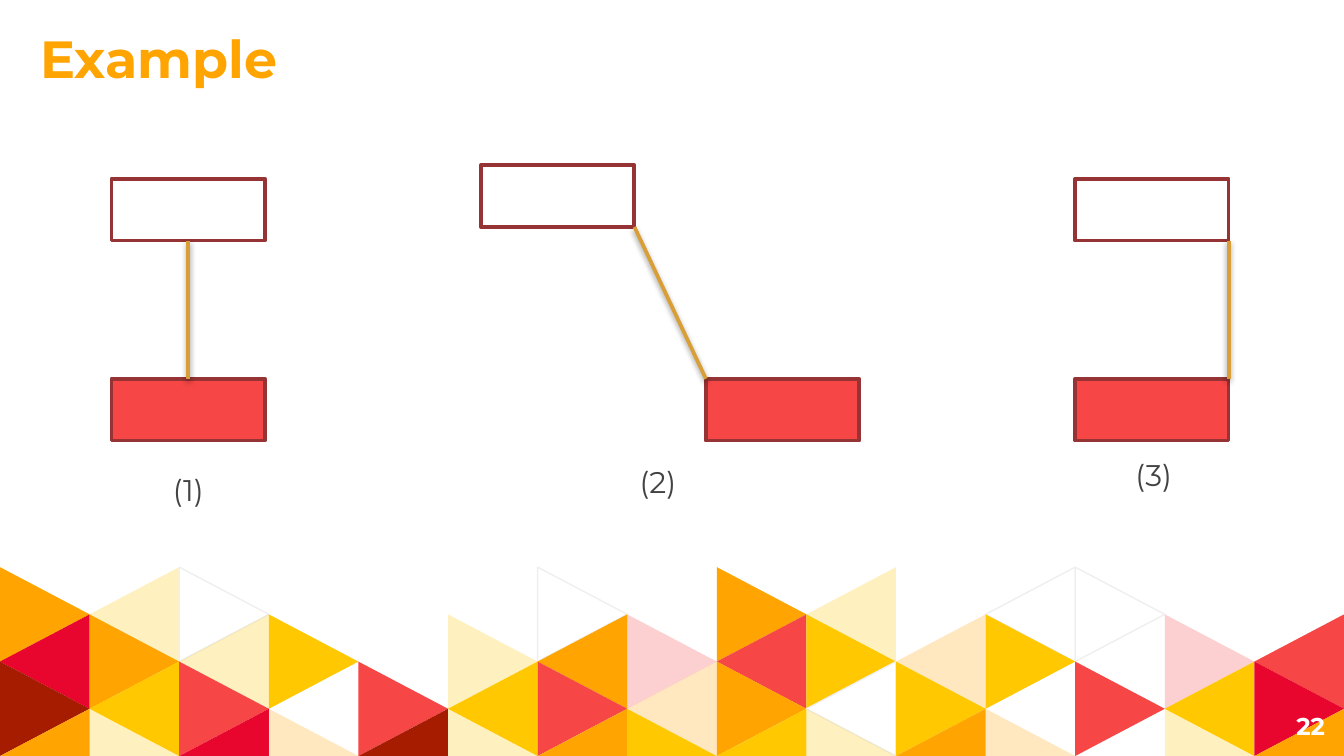
from dataclasses import dataclass

from pptx import Presentation
from pptx.dml.color import RGBColor as Rgb
from pptx.enum.shapes import MSO_CONNECTOR as Connector, MSO_SHAPE as Shape
from pptx.enum.text import MSO_ANCHOR as Anchor, MSO_AUTO_SIZE as AutoSize, PP_ALIGN as Align
from pptx.oxml import parse_xml
from pptx.oxml.ns import nsdecls, qn
from pptx.util import Cm, Pt


@dataclass(frozen=True)
class Theme:
    font: str = "Montserrat"
    title: str = "FFA400"
    number: str = "FFFFFF"
    label: str = "434343"
    hollow: str = "FFFFFF"
    solid: str = "F64646"
    border: str = "963334"
    link: str = "D89F39"
    grid: str = "EFEFEF"
    title_size: int = 28
    label_size: int = 16
    number_size: int = 13
    stroke: float = 2
    grid_stroke: float = 0.75


THEME = Theme()
WIDTH, HEIGHT = 25.4, 14.29
BOX_WIDTH, BOX_HEIGHT = 2.9, 1.17
INSET = 0.25

# Uppercase is opaque, lowercase is 25 % opaque, W is an outlined white cell.
MOSAIC = (
    "OyW...W.Oy.WW..",
    "COyY.yOrRYoY.rR",
    "BYR.RYRoOWY.RYC",
    "OyCoByOYYyOo.yO",
)
MOSAIC_COLORS = {"O": "FFA400", "Y": "FFC800", "R": "F64646",
                 "C": "E8062F", "B": "A61C00", "W": "FFFFFF"}
MOSAIC_TOP = 10.72

# caption, hollow box, solid box, link ends as fractions of box width, caption place
EXAMPLES = (
    ("(1)", (2.11, 3.38), (2.11, 7.16), (0.5, 0.5), (3.02, 8.33)),
    ("(2)", (9.09, 3.12), (13.34, 7.16), (1, 0), (11.84, 8.18)),
    ("(3)", (20.32, 3.38), (20.32, 7.16), (1, 1), (21.21, 8.05)),
)


def paint(shape, fill, border=None, width=THEME.stroke):
    shape.shadow.inherit = False
    shape.fill.solid()
    shape.fill.fore_color.rgb = Rgb.from_string(fill)
    if border:
        shape.line.color.rgb = Rgb.from_string(border)
        shape.line.width = Pt(width)
    else:
        shape.line.fill.background()


def add_triangle(shapes, column, row, code):
    cell_width = WIDTH / len(MOSAIC[0])
    cell_height = (HEIGHT - MOSAIC_TOP) / len(MOSAIC)
    base, tip = (column, column + 1) if (row + column) % 2 == 0 else (column + 1, column)
    corners = [
        (Cm(x * cell_width), Cm(MOSAIC_TOP + min(y, len(MOSAIC)) * cell_height))
        for x, y in ((base, row), (base, row + 2), (tip, row + 1))
    ]
    outline = shapes.build_freeform(*corners[0])
    outline.add_line_segments(corners[1:], close=True)
    triangle = outline.convert_to_shape()
    paint(triangle, MOSAIC_COLORS[code.upper()],
          THEME.grid if code == "W" else None, THEME.grid_stroke)
    if code.islower():
        color = next(triangle.element.iter(qn("a:srgbClr")))
        color.append(parse_xml(f'<a:alpha {nsdecls("a")} val="25000"/>'))


def add_mosaic(slide):
    shapes = slide.shapes.add_group_shape().shapes
    for row, codes in enumerate(MOSAIC):
        for column, code in enumerate(codes):
            if code != ".":
                add_triangle(shapes, column, row, code)


def write(holder, text, size, color, bold=False, align=Align.LEFT, anchor=Anchor.TOP):
    frame = holder.text_frame
    frame.word_wrap = True
    frame.auto_size = AutoSize.NONE
    frame.vertical_anchor = anchor
    frame.margin_left = frame.margin_right = Cm(INSET)
    frame.margin_top = frame.margin_bottom = Cm(INSET)
    paragraph = frame.paragraphs[0]
    paragraph.alignment = align
    run = paragraph.add_run()
    run.text = text
    run.font.name = THEME.font
    run.font.size = Pt(size)
    run.font.bold = bold
    run.font.color.rgb = Rgb.from_string(color)
    return paragraph


def add_title(slide, text):
    title = slide.shapes.title
    title.left, title.top, title.width, title.height = Cm(0.51), Cm(0.38), Cm(20.7), Cm(1.55)
    write(title, text, THEME.title_size, THEME.title, bold=True, anchor=Anchor.BOTTOM)


def add_page_number(slide, text):
    number = slide.shapes.add_textbox(Cm(23.77), Cm(13.18), Cm(1.52), Cm(1.09))
    write(number, text, THEME.number_size, THEME.number, bold=True,
          align=Align.RIGHT, anchor=Anchor.MIDDLE)


def add_box(slide, place, fill):
    left, top = place
    box = slide.shapes.add_shape(Shape.RECTANGLE, Cm(left), Cm(top), Cm(BOX_WIDTH), Cm(BOX_HEIGHT))
    paint(box, fill, THEME.border)


def add_link(slide, start, end):
    link = slide.shapes.add_connector(Connector.STRAIGHT, *map(Cm, start + end))
    link.line.color.rgb = Rgb.from_string(THEME.link)
    link.line.width = Pt(THEME.stroke)
    link.element.spPr.append(parse_xml(
        f'<a:effectLst {nsdecls("a")}>'
        '<a:outerShdw blurRad="40000" dist="20000" dir="5400000" rotWithShape="0">'
        '<a:srgbClr val="000000"><a:alpha val="38000"/></a:srgbClr>'
        '</a:outerShdw></a:effectLst>'
    ))


def add_caption(slide, place, text):
    left, top = place
    caption = slide.shapes.add_textbox(Cm(left), Cm(top), Cm(1.63), Cm(1.47))
    paragraph = write(caption, text, THEME.label_size, THEME.label)
    paragraph.line_spacing = 1.5
    paragraph.space_before = Pt(6)


def add_example(slide, text, hollow, solid, ends, caption_place):
    add_box(slide, hollow, THEME.hollow)
    add_box(slide, solid, THEME.solid)
    add_link(slide,
             (hollow[0] + ends[0] * BOX_WIDTH, hollow[1] + BOX_HEIGHT),
             (solid[0] + ends[1] * BOX_WIDTH, solid[1]))
    add_caption(slide, caption_place, text)


def main():
    deck = Presentation()
    deck.slide_width, deck.slide_height = Cm(WIDTH), Cm(HEIGHT)
    slide = deck.slides.add_slide(deck.slide_layouts[5])
    add_mosaic(slide)
    add_title(slide, "Example")
    add_page_number(slide, "22")
    for example in EXAMPLES:
        add_example(slide, *example)
    deck.save("out.pptx")


if __name__ == "__main__":
    main()
